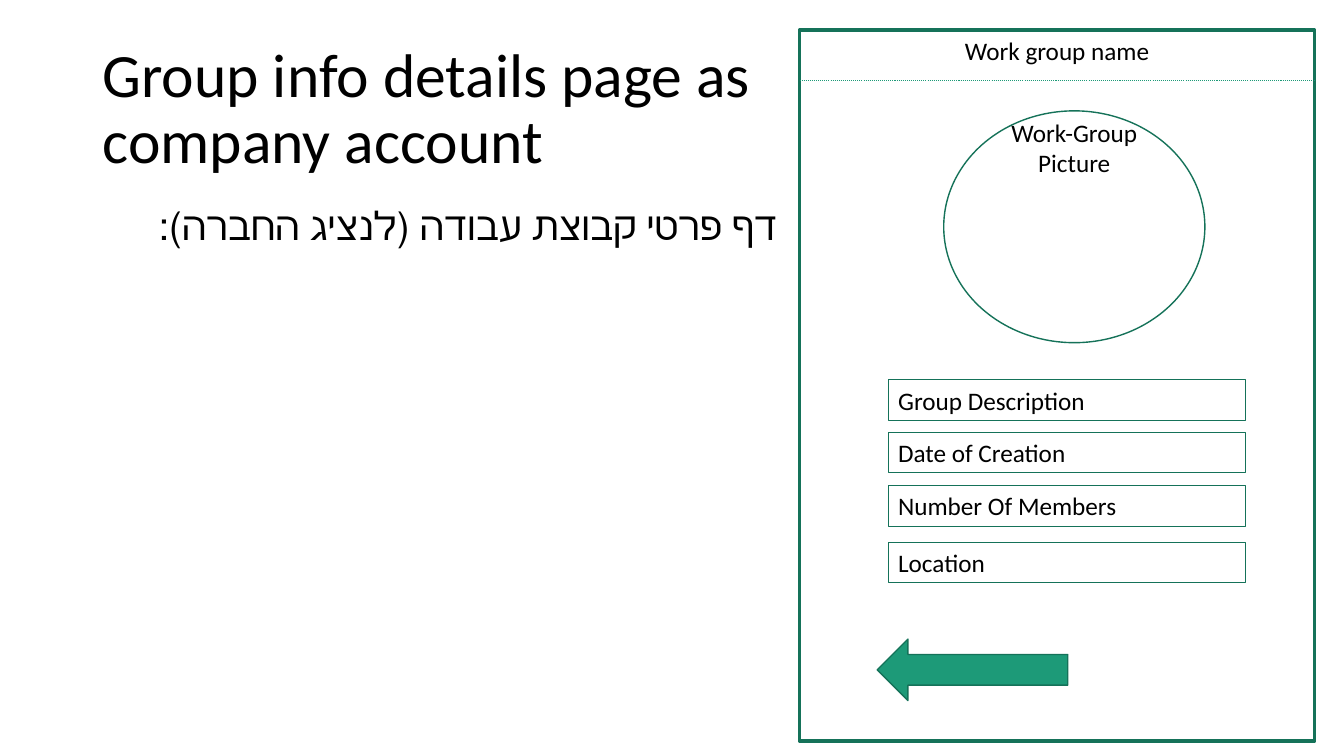
from lxml import etree
from pptx import Presentation
from pptx.dml.color import RGBColor
from pptx.enum import dml, shapes, text
from pptx.oxml.ns import qn
from pptx.util import Inches, Pt

# Content
TITLE = "Group info details page as \vcompany account"
SUBTITLE = "דף פרטי קבוצת עבודה (לנציג החברה):"
HEADER = "Work group name"
PICTURE_LABEL = "Work-Group Picture"
FIELDS = [  # label, top
    ("Group Description", 3.77),
    ("Date of Creation", 4.29),
    ("Number Of Members", 4.82),
    ("Location", 5.38),
]

# Style and layout
FONT = "Calibri"
BLACK, GREEN, DARK_GREEN = "000000", "1D9A78", "157259"
PANEL_LEFT, PANEL_TOP, PANEL_WIDTH, PANEL_HEIGHT = 7.93, 0.3, 5.11, 7.05
HEADER_BOTTOM = 0.8
FIELD_LEFT, FIELD_WIDTH, FIELD_HEIGHT = 8.81, 3.54, 0.4

presentation = Presentation()
presentation.slide_width, presentation.slide_height = Inches(13.33), Inches(7.5)
slide = presentation.slides.add_slide(presentation.slide_layouts[6])


def color(hex_code):
    return RGBColor.from_string(hex_code)


def write(shape, words, size=18, align=text.PP_ALIGN.LEFT,
          anchor=text.MSO_ANCHOR.TOP, spacing=1.0, rtl=False, grow=True):
    frame = shape.text_frame
    frame.word_wrap = True
    frame.vertical_anchor = anchor
    frame.auto_size = (text.MSO_AUTO_SIZE.SHAPE_TO_FIT_TEXT if grow
                       else text.MSO_AUTO_SIZE.NONE)
    paragraph = frame.paragraphs[0]
    paragraph.text = words
    paragraph.alignment = align
    paragraph.line_spacing = spacing
    if rtl:
        paragraph._p.get_or_add_pPr().set("rtl", "1")
    for run in paragraph.runs:
        run.font.size = Pt(size)
        run.font.name = FONT
        run.font.color.rgb = color(BLACK)


def add_text(left, top, width, height, words, **format):
    box = slide.shapes.add_textbox(*map(Inches, (left, top, width, height)))
    write(box, words, **format)


def add_outline(kind, left, top, width, height, weight, fill=None):
    shape = slide.shapes.add_shape(kind, *map(Inches, (left, top, width, height)))
    shape.shadow.inherit = False
    if fill:
        shape.fill.solid()
        shape.fill.fore_color.rgb = color(fill)
    else:
        shape.fill.background()
    shape.line.color.rgb = color(DARK_GREEN)
    shape.line.width = Pt(weight)
    return shape


# Title and subtitle
add_text(0.92, 0.37, 11.5, 1.45, TITLE, size=44, spacing=0.9,
         anchor=text.MSO_ANCHOR.MIDDLE, grow=False)
add_text(0.92, 2, 6.89, 4.81, SUBTITLE, size=28, spacing=0.9,
         align=text.PP_ALIGN.RIGHT, rtl=True, grow=False)

# Page panel with its header
KIND = shapes.MSO_SHAPE
add_outline(KIND.RECTANGLE, PANEL_LEFT, PANEL_TOP, PANEL_WIDTH, PANEL_HEIGHT, 2.5)
add_outline(KIND.OVAL, 9.36, 1.1, 2.59, 2.3, 1)
divider = slide.shapes.add_connector(
    shapes.MSO_CONNECTOR.STRAIGHT, Inches(PANEL_LEFT), Inches(HEADER_BOTTOM),
    Inches(PANEL_LEFT + PANEL_WIDTH), Inches(HEADER_BOTTOM))
divider.line.color.rgb = color(GREEN)
divider.line.width = Pt(0.75)
divider.line.dash_style = dml.MSO_LINE.ROUND_DOT
etree.SubElement(divider._element.spPr, qn("a:effectLst"))
add_text(PANEL_LEFT, PANEL_TOP, PANEL_WIDTH, 0.4, HEADER,
         align=text.PP_ALIGN.CENTER)

# Back arrow and picture label
add_outline(KIND.LEFT_ARROW, 8.7, 6.34, 1.89, 0.61, 1, fill=GREEN)
add_text(9.6, 1.11, 2.11, 0.71, PICTURE_LABEL, align=text.PP_ALIGN.CENTER)

# Detail fields
for label, top in FIELDS:
    field = add_outline(KIND.RECTANGLE, FIELD_LEFT, top, FIELD_WIDTH, FIELD_HEIGHT, 0.75)
    write(field, label)

presentation.save("out.pptx")
